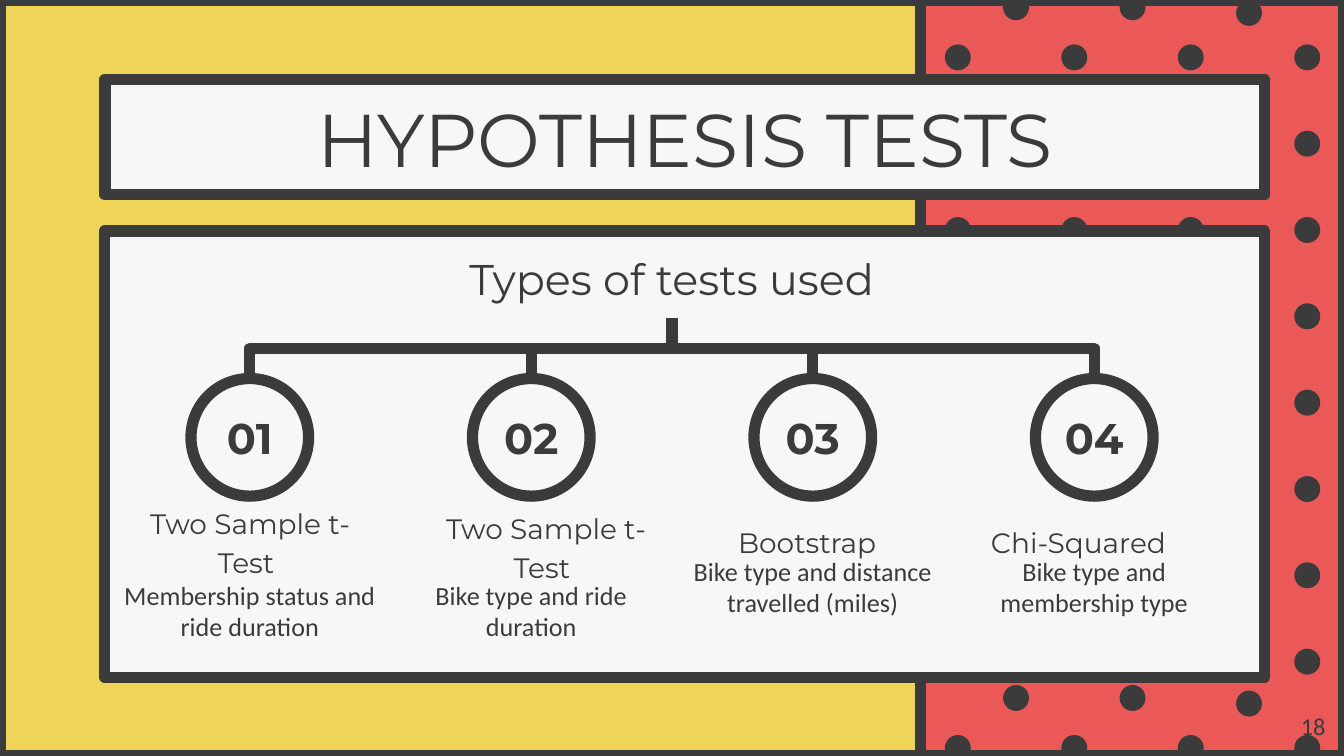
import pptx
import pptx.util
import pptx.dml.color
import pptx.enum.shapes
import pptx.enum.text
import pptx.oxml.ns
import lxml.etree

Pt = pptx.util.Pt
Shape = pptx.enum.shapes.MSO_SHAPE
Link = pptx.enum.shapes.MSO_CONNECTOR
Align = pptx.enum.text.PP_ALIGN
Anchor = pptx.enum.text.MSO_ANCHOR
qn = pptx.oxml.ns.qn

COLORS = {"yellow": "EED558", "red": "EB5858", "dark": "3B3B3B", "pale": "F7F7F7"}
EDGE = 6
MID = 360       # centre of the tree
GAP = 150.8     # between branches
ROUND = 63      # circle size
TOP, LOW = 170.4, 202.8   # ends of the links

# label, label centre shift, width, bottom, alignment, detail, detail top
TESTS = [
    ("Two Sample t-Test ", 0, 126, 317.5, Align.CENTER,
     "Membership status and ride duration", 303.1),
    ("Two Sample t-Test ", 7.7, 135.4, 319.9, Align.CENTER,
     "Bike type and ride duration", 303.1),
    ("Bootstrap", -3, 154.8, 306.9, Align.CENTER,
     "Bike type and distance travelled (miles)", 290.2),
    ("Chi-Squared", 12.6, 150, 306.9, Align.LEFT,
     "Bike type and membership type", 290.2),
]


def tint(name):
    return pptx.dml.color.RGBColor.from_string(COLORS[name])


def paint(shape, fill, edge=True):
    shape.fill.solid()
    shape.fill.fore_color.rgb = tint(fill)
    if edge:
        shape.line.color.rgb = tint("dark")
        shape.line.width = Pt(EDGE)
    else:
        shape.line.fill.background()


def draw(slide, kind, x, y, w, h, fill, edge=True):
    shape = slide.shapes.add_shape(kind, Pt(x), Pt(y), Pt(w), Pt(h))
    shape.shadow.inherit = False
    paint(shape, fill, edge)
    return shape


def write(shape, text, size=14, font="Calibri", bold=False, align=Align.CENTER,
          anchor=Anchor.TOP, inset=7.2, space=1.0):
    frame = shape.text_frame
    frame.word_wrap = True
    frame.auto_size = pptx.enum.text.MSO_AUTO_SIZE.NONE
    frame.vertical_anchor = anchor
    frame.margin_left = frame.margin_right = Pt(inset)
    frame.margin_top = frame.margin_bottom = Pt(inset)
    frame.text = text
    para = frame.paragraphs[0]
    para.alignment = align
    para.line_spacing = space
    para.font.size = Pt(size)
    para.font.name = font
    para.font.bold = bold
    para.font.color.rgb = tint("dark")


def label(slide, text, x, y, w, h, **style):
    box = slide.shapes.add_textbox(Pt(x), Pt(y), Pt(w), Pt(h))
    write(box, text, **style)


def link(slide, x):
    """Elbow that leaves the trunk downward and ends above a circle."""
    left = x < MID
    mid_x, mid_y = (x + MID) / 2, (TOP + LOW) / 2
    run = (LOW - TOP) / 2 * (1 if left else -1)
    rise = abs(x - MID) / 2
    line = slide.shapes.add_connector(
        Link.ELBOW, Pt(mid_x - run), Pt(mid_y - rise),
        Pt(mid_x + run), Pt(mid_y + rise))
    line.line.color.rgb = tint("dark")
    line.line.width = Pt(EDGE)
    props = line.element.spPr
    props.find(qn("a:xfrm")).set("rot", str((90 if left else 270) * 60000))
    lxml.etree.SubElement(props, qn("a:effectLst"))


def dots(slide):
    for col in range(7):
        if col == 6:
            start, rows = 23.8, range(9)
        elif col == 5:
            start, rows = 0, (0, 8)
        elif col % 2:
            start, rows = -3, (0, 8)
        else:
            start, rows = 23.8, (0, 2, 8)
        for row in rows:
            draw(slide, Shape.OVAL, 506.2 + 31.2 * col, start + 46.25 * row,
                 13.9, 13.9, "dark", edge=False)


def branch(slide, num, test):
    name, shift, wide, base, align, note, top = test
    x = MID + GAP * (num - 2.5)
    label(slide, note, x - 77.4, top, 154.8, 44.6)
    label(slide, name, x + shift - wide / 2, base - 41, wide, 41, size=15,
          font="Montserrat", align=align, anchor=Anchor.BOTTOM, space=1.15)
    disc = draw(slide, Shape.OVAL, x - ROUND / 2, LOW, ROUND, ROUND, "pale")
    write(disc, f"{num:02}", size=23, font="Montserrat", bold=True,
          anchor=Anchor.MIDDLE, inset=0)
    link(slide, x)


def main():
    deck = pptx.Presentation()
    deck.slide_width, deck.slide_height = Pt(720), Pt(405)
    slide = deck.slides.add_slide(deck.slide_layouts[5])
    slide.background.fill.solid()
    slide.background.fill.fore_color.rgb = tint("yellow")

    # Backdrop
    draw(slide, Shape.RECTANGLE, 493.2, 0, 226.8, 405, "red")
    dots(slide)
    draw(slide, Shape.RECTANGLE, 0, 0, 493.2, 405, "yellow")
    draw(slide, Shape.RECTANGLE, 56.2, 123.8, 621.4, 239, "pale")

    # Title, brought in front of the backdrop
    title = slide.shapes.title
    title.left, title.top, title.width, title.height = map(
        Pt, (56.2, 42.5, 621.4, 61.9))
    paint(title, "pale")
    write(title, "HYPOTHESIS TESTS", size=40, font="Montserrat")
    title.element.getparent().append(title.element)

    # Tree of tests
    label(slide, "Types of tests used", 56.2, 134.6, 607.7, 35.3, size=23,
          font="Montserrat", anchor=Anchor.BOTTOM, space=1.15)
    for num, test in enumerate(TESTS, 1):
        branch(slide, num, test)

    # Page number
    label(slide, "18", 673.9, 373.7, 43.2, 31, size=13, align=Align.RIGHT)
    deck.save("out.pptx")


if __name__ == "__main__":
    main()
